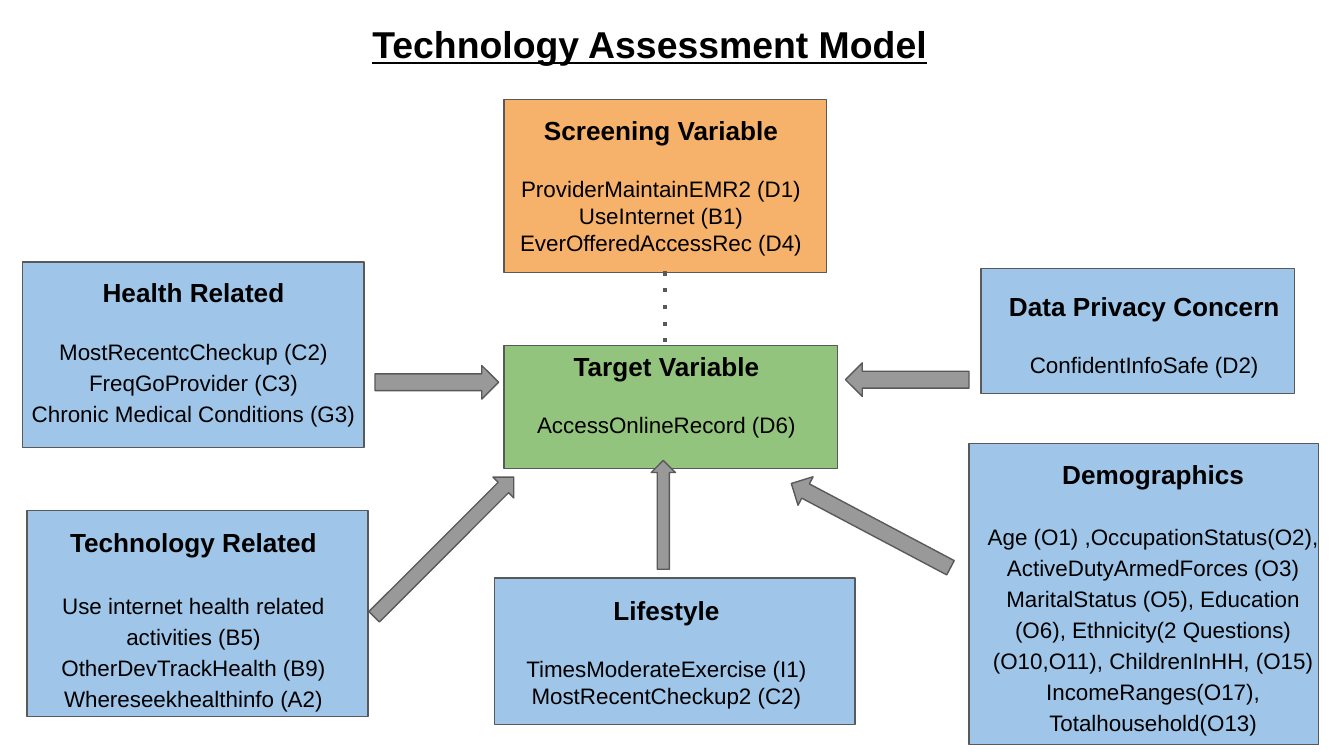
from pptx import Presentation
from pptx.dml.color import RGBColor
from pptx.enum.dml import MSO_LINE
from pptx.enum.shapes import MSO_CONNECTOR, MSO_SHAPE
from pptx.enum.text import PP_ALIGN
from pptx.oxml.ns import qn
from pptx.util import Pt
from lxml.etree import SubElement

BLUE = RGBColor(0x9F, 0xC5, 0xE8)
GREEN = RGBColor(0x93, 0xC4, 0x7D)
ORANGE = RGBColor(0xF6, 0xB2, 0x6B)
GRAY = RGBColor(0x99, 0x99, 0x99)
DARK = RGBColor(0x59, 0x59, 0x59)
BLACK = RGBColor(0, 0, 0)

FONT = "Arial"
INSET = 7.2

TITLE = "Technology Assessment Model"
TITLE_AREA = (78.5, 7.9, 539.3, 31.7)

# heading, fill, box area, text area, gap below heading, line spacing, items
PANELS = [
    ("Health Related", BLUE, (12.2, 140.4, 182.9, 99.4), (7.2, 141.1, 193, 97.2), 14, 1.15,
     ["MostRecentcCheckup (C2)", "FreqGoProvider (C3)", "Chronic Medical Conditions (G3)"]),
    ("Technology Related", BLUE, (14.4, 273.6, 182.9, 110.2), (17.3, 275, 172.8, 97.2), 16, 1.15,
     ["Use internet health related activities (B5)", "OtherDevTrackHealth (B9)",
      "Whereseekhealthinfo (A2)"]),
    ("Lifestyle", BLUE, (265, 309.6, 193, 78.5), (267.8, 311, 178.6, 67), 16, 1,
     ["TimesModerateExercise (I1)", "MostRecentCheckup2 (C2)"]),
    ("Target Variable", GREEN, (270, 185, 178.6, 66.2), (270.7, 180.3, 172.8, 56), 16, 1,
     ["AccessOnlineRecord (D6)"]),
    ("Demographics", BLUE, (519.1, 237.6, 187.2, 161.3), (521.3, 238.3, 193, 130.3), 16, 1.15,
     ["Age (O1) ,OccupationStatus(O2), ActiveDutyArmedForces (O3)",
      "MaritalStatus (O5), Education (O6), Ethnicity(2 Questions) (O10,O11), "
      "ChildrenInHH, (O15) IncomeRanges(O17), Totalhousehold(O13)"]),
    ("Data Privacy Concern", BLUE, (525.6, 144, 167.8, 67), (531.4, 148.3, 163.4, 54.7), 16, 1,
     ["ConfidentInfoSafe (D2)"]),
    ("Screening Variable", ORANGE, (270, 53.3, 172.8, 92.9), (267.8, 54, 172.8, 79.2), 16, 1,
     ["ProviderMaintainEMR2 (D1)", "UseInternet (B1)", "EverOfferedAccessRec (D4)"]),
]

# area before rotation, rotation
ARROWS = [
    ((418.3, 272.9, 96.5, 17.3), 207.9),
    ((185, 285.1, 105.8, 15.8), 315),
    ((200.9, 195.8, 66.2, 18), 0),
    ((452.9, 194.4, 66.2, 18), 180),
    ((326.2, 269.3, 58.3, 13), 270),
]

SCREENING_LINK = (356.4, 145.4, 356.4, 183.6)


def points(values):
    return [Pt(value) for value in values]


def add_filled(page, kind, area, fill):
    shape = page.shapes.add_shape(kind, *points(area))
    shape.shadow.inherit = False
    shape.fill.solid()
    shape.fill.fore_color.rgb = fill
    shape.line.color.rgb = DARK
    shape.line.width = Pt(0.75)
    return shape


def add_frame(page, area, vertical_inset):
    frame = page.shapes.add_textbox(*points(area)).text_frame
    frame.word_wrap = True
    frame.margin_left = frame.margin_right = Pt(INSET)
    frame.margin_top = frame.margin_bottom = Pt(vertical_inset)
    return frame


def write(para, text, size, bold=False):
    para.text = text
    para.alignment = PP_ALIGN.CENTER
    para.font.name = FONT
    para.font.size = Pt(size)
    para.font.bold = bold
    para.font.color.rgb = BLACK


def add_panel(page, heading, fill, box_area, text_area, gap, spacing, items):
    add_filled(page, MSO_SHAPE.RECTANGLE, box_area, fill)
    frame = add_frame(page, text_area, INSET)
    para = frame.paragraphs[0]
    write(para, heading, 14, bold=True)
    para.space_after = Pt(gap)
    for item in items:
        para = frame.add_paragraph()
        write(para, item, 12)
        para.line_spacing = float(spacing)


def main():
    deck = Presentation()
    deck.slide_width, deck.slide_height = Pt(720), Pt(405)
    page = deck.slides.add_slide(deck.slide_layouts[6])

    for panel in PANELS:
        add_panel(page, *panel)

    for area, rotation in ARROWS:
        add_filled(page, MSO_SHAPE.RIGHT_ARROW, area, GRAY).rotation = rotation

    link = page.shapes.add_connector(MSO_CONNECTOR.STRAIGHT, *points(SCREENING_LINK))
    link.line.color.rgb = DARK
    link.line.width = Pt(2.25)
    link.line.dash_style = MSO_LINE.ROUND_DOT
    link.line._get_or_add_ln().find(qn("a:prstDash")).set("val", "dot")
    SubElement(link._element.spPr, qn("a:effectLst"))

    title = add_frame(page, TITLE_AREA, INSET / 2).paragraphs[0]
    write(title, TITLE, 20, bold=True)
    title.font.underline = True

    deck.save("out.pptx")


if __name__ == "__main__":
    main()
